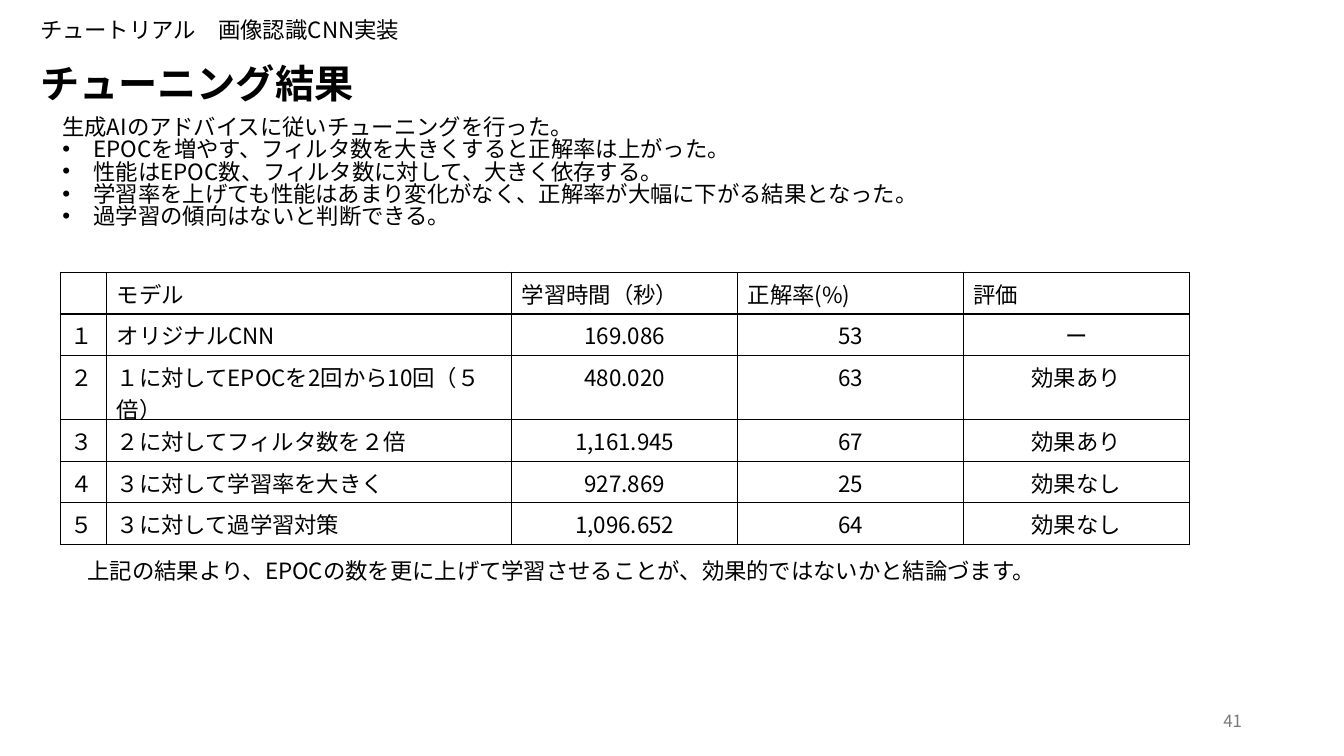
from lxml import etree
from pptx import Presentation
from pptx.dml.color import RGBColor
from pptx.enum.lang import MSO_LANGUAGE_ID
from pptx.enum.text import MSO_ANCHOR, PP_ALIGN
from pptx.oxml.ns import qn
from pptx.util import Cm, Pt

LEFT, CENTER, RIGHT = PP_ALIGN.LEFT, PP_ALIGN.CENTER, PP_ALIGN.RIGHT
TOP, MIDDLE = MSO_ANCHOR.TOP, MSO_ANCHOR.MIDDLE
JAPANESE = MSO_LANGUAGE_ID.JAPANESE

FONT = "Noto Sans CJK JP"
COLORS = {"text": "000000", "border": "000000", "number": "797979"}

SECTION = "チュートリアル　画像認識CNN実装"
TITLE = "チューニング結果"
INTRO = "生成AIのアドバイスに従いチューニングを行った。"
FINDINGS = [
    "EPOCを増やす、フィルタ数を大きくすると正解率は上がった。",
    "性能はEPOC数、フィルタ数に対して、大きく依存する。",
    "学習率を上げても性能はあまり変化がなく、正解率が大幅に下がる結果となった。",
    "過学習の傾向はないと判断できる。",
]
RESULTS = [
    ("", "モデル", "学習時間（秒）", "正解率(%)", "評価"),
    ("１", "オリジナルCNN", "169.086", "53", "ー"),
    ("２", "１に対してEPOCを2回から10回（５倍）", "480.020", "63", "効果あり"),
    ("３", "２に対してフィルタ数を２倍", "1,161.945", "67", "効果あり"),
    ("４", "３に対して学習率を大きく", "927.869", "25", "効果なし"),
    ("５", "３に対して過学習対策", "1,096.652", "64", "効果なし"),
]
CONCLUSION = "上記の結果より、EPOCの数を更に上げて学習させることが、効果的ではないかと結論づます。"
PAGE_NUMBER = "41"

COLUMN_WIDTHS = (1.17, 10.21, 5.69, 5.69, 5.69)
ROW_HEIGHT = 1.05
BULLET_INDENT = Cm(0.79)


def format_paragraph(p, size=16, color="text", bold=False, align=LEFT, spacing=None):
    p.alignment = align
    p.space_before = Pt(0)
    if spacing:
        p.line_spacing = spacing
    for r in p.runs:
        r.font.name = FONT
        r.font.size = Pt(size)
        r.font.bold = bold
        r.font.color.rgb = RGBColor.from_string(COLORS[color])
        r.font.language_id = JAPANESE
        east_asian = etree.SubElement(r.font._element, qn("a:ea"))
        east_asian.set("typeface", FONT)


def fill_text(sp, lines, anchor=TOP, **style):
    tf = sp.text_frame
    tf.word_wrap = True
    tf.vertical_anchor = anchor
    tf.text = "\n".join(lines)
    for p in tf.paragraphs:
        format_paragraph(p, **style)
    return tf


def add_text(slide, box, lines, **style):
    sp = slide.shapes.add_textbox(*map(Cm, box))
    return fill_text(sp, lines, **style)


def add_bullet(p):
    pPr = p._p.get_or_add_pPr()
    pPr.set("marL", str(BULLET_INDENT))
    pPr.set("indent", str(-BULLET_INDENT))
    etree.SubElement(pPr, qn("a:buFont")).set("typeface", "Arial")
    etree.SubElement(pPr, qn("a:buChar")).set("char", "•")


def add_borders(cell):
    tcPr = cell._tc.get_or_add_tcPr()
    for side in ("lnL", "lnR", "lnT", "lnB"):
        line = etree.SubElement(tcPr, qn(f"a:{side}"), w=str(Pt(1)))
        fill = etree.SubElement(line, qn("a:solidFill"))
        etree.SubElement(fill, qn("a:srgbClr"), val=COLORS["border"])


def add_results(slide):
    frame = slide.shapes.add_table(
        len(RESULTS), len(COLUMN_WIDTHS), Cm(1.52), Cm(6.86),
        Cm(sum(COLUMN_WIDTHS)), Cm(ROW_HEIGHT * len(RESULTS)))
    table = frame.table
    table.first_row = table.horz_banding = False
    for column, width in zip(table.columns, COLUMN_WIDTHS):
        column.width = Cm(width)
    for i, values in enumerate(RESULTS):
        table.rows[i].height = Cm(ROW_HEIGHT)
        for j, value in enumerate(values):
            cell = table.cell(i, j)
            add_borders(cell)
            cell.fill.background()
            cell.text = value
            align = CENTER if i > 0 and j > 1 else LEFT
            format_paragraph(cell.text_frame.paragraphs[0], align=align)


def main():
    prs = Presentation()
    prs.slide_width, prs.slide_height = Cm(33.87), Cm(19.05)
    slide = prs.slides.add_slide(prs.slide_layouts[5])

    title = slide.shapes.title
    title.left, title.top, title.width, title.height = map(Cm, (0.76, 1.6, 29.21, 1.68))
    fill_text(title, [TITLE], size=28, bold=True, spacing=0.8)
    add_text(slide, (0.76, 0.41, 29.21, 1.02), [SECTION], spacing=0.8)

    add_results(slide)
    tf = add_text(slide, (1.32, 2.84, 29.9, 3.68), [INTRO, *FINDINGS], spacing=0.83)
    for p in tf.paragraphs[1:]:
        add_bullet(p)
    add_text(slide, (1.96, 14.02, 29.26, 0.94), [CONCLUSION], spacing=0.83)
    add_text(slide, (23.93, 17.65, 7.62, 1.02), [PAGE_NUMBER],
             anchor=MIDDLE, size=12, color="number", align=RIGHT)
    prs.save("out.pptx")


if __name__ == "__main__":
    main()
